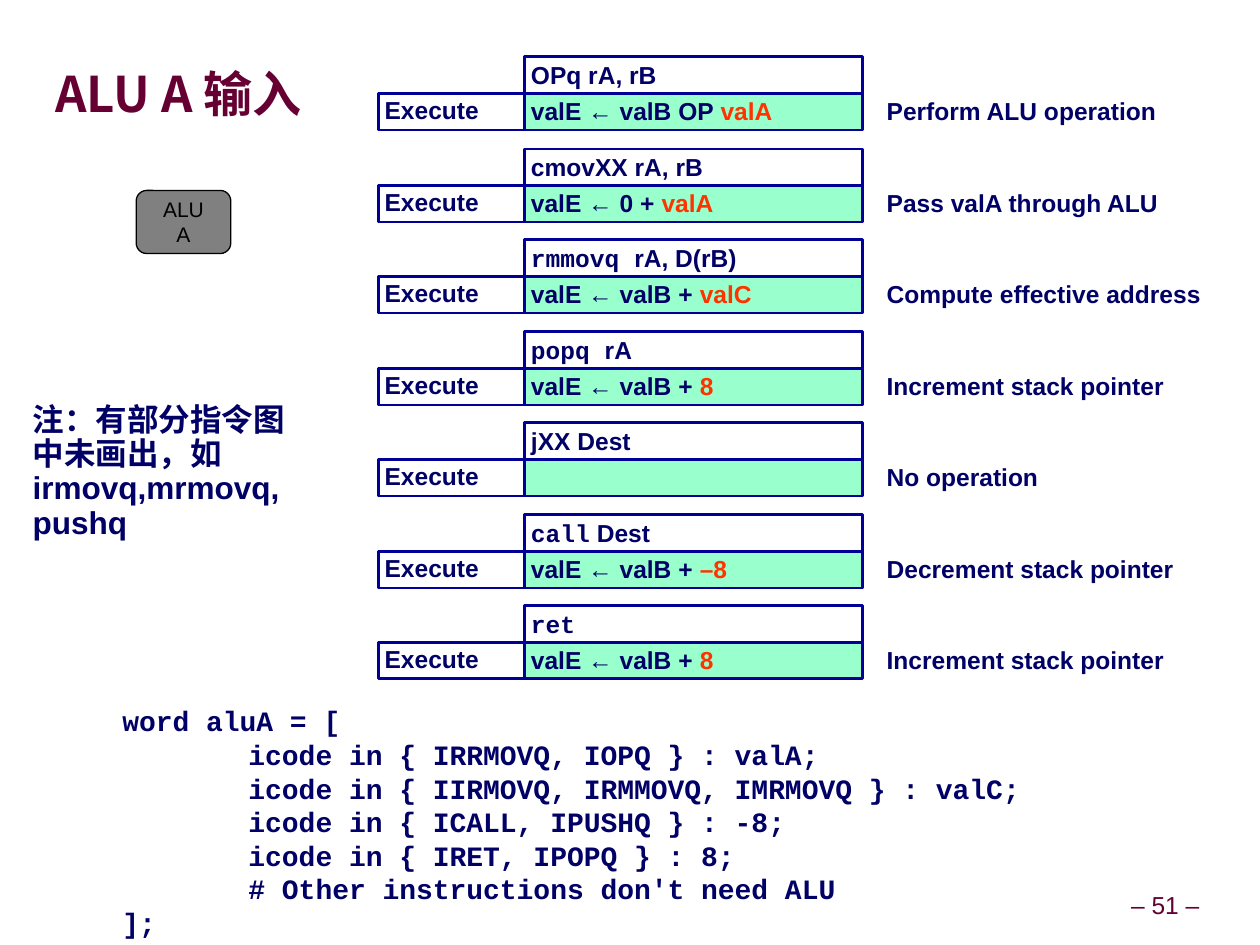
from dataclasses import dataclass

from pptx import Presentation
from pptx.dml.color import RGBColor
from pptx.enum.shapes import MSO_SHAPE
from pptx.enum.text import MSO_ANCHOR, PP_ALIGN
from pptx.oxml.ns import qn
from pptx.util import Emu, Pt

PX = 9144


@dataclass(frozen=True)
class Theme:
    ink: str = "000066"
    edge: str = "000099"
    wine: str = "660033"
    mint: str = "99FFCC"
    red: str = "FF3300"
    gray: str = "808080"
    black: str = "000000"
    sans: str = "Arial"
    mono: str = "Courier New"
    han: str = "Noto Sans CJK SC"
    title: int = 28
    note: int = 18
    code: int = 16
    body: int = 14
    small: int = 12


class Deck:
    """Draws styled elements on one slide."""

    def __init__(self, theme, wide, high):
        self.theme = theme
        self.file = Presentation()
        self.file.slide_width = Emu(wide * PX)
        self.file.slide_height = Emu(high * PX)
        self.slide = self.file.slides.add_slide(self.file.slide_layouts[6])

    def text(self, box, lines, size=None, color=None, font=None, bold=True,
             align=PP_ALIGN.LEFT, anchor=MSO_ANCHOR.TOP, pad=(5, 5),
             lead=0.9, wrap=True, tab=None):
        look = self.theme
        shape = self.slide.shapes.add_textbox(*[Emu(n * PX) for n in box])
        self.label(shape, lines, size or look.body, color or look.ink,
                   font or look.sans, bold, align, anchor, pad, lead, wrap, tab)

    def rect(self, box, lines=(), fill=None, anchor=MSO_ANCHOR.TOP):
        look = self.theme
        shape = self.shape(MSO_SHAPE.RECTANGLE, box, fill, look.edge, 1.5)
        self.label(shape, lines, look.body, look.ink, look.sans, True,
                   PP_ALIGN.LEFT, anchor, (5, 5), 0.9, True)

    def button(self, box, lines):
        look = self.theme
        shape = self.shape(MSO_SHAPE.ROUNDED_RECTANGLE, box, look.gray,
                           look.black, 0.75)
        self.label(shape, lines, look.small, look.black, look.sans, False,
                   PP_ALIGN.CENTER, MSO_ANCHOR.MIDDLE, (10, 5), Pt(14.4), False)

    def shape(self, kind, box, fill, edge, width):
        shape = self.slide.shapes.add_shape(kind, *[Emu(n * PX) for n in box])
        shape.shadow.inherit = False
        if fill:
            shape.fill.solid()
            shape.fill.fore_color.rgb = RGBColor.from_string(fill)
        else:
            shape.fill.background()
        shape.line.color.rgb = RGBColor.from_string(edge)
        shape.line.width = Pt(width)
        return shape

    def label(self, shape, lines, size, color, font, bold, align, anchor,
              pad, lead, wrap, tab=None):
        frame = shape.text_frame
        frame.word_wrap = wrap
        frame.vertical_anchor = anchor
        frame.margin_left = frame.margin_right = Emu(pad[0] * PX)
        frame.margin_top = frame.margin_bottom = Emu(pad[1] * PX)
        for i, runs in enumerate(lines):
            para = frame.add_paragraph() if i else frame.paragraphs[0]
            para.alignment = align
            para.line_spacing = lead
            if tab:
                props = para._p.get_or_add_pPr()
                stops = props.makeelement(qn("a:tabLst"), {})
                stops.append(props.makeelement(
                    qn("a:tab"), {"pos": str(tab * PX), "algn": "l"}))
                props.append(stops)
            for words, *style in runs:
                own = dict(style)
                run = para.add_run()
                run.text = words
                run.font.size = Pt(size)
                run.font.bold = bold
                run.font.name = own.get("font", font)
                run.font.color.rgb = RGBColor.from_string(own.get("color", color))
                if any(c >= "一" for c in words):
                    props = run._r.get_or_add_rPr()
                    east = props.makeelement(
                        qn("a:ea"), {"typeface": self.theme.han})
                    props.find(qn("a:latin")).addnext(east)

    def step(self, top, name, stage, note):
        """Draws one instruction with its execute stage."""
        high = 29
        low = top + high
        self.rect((416, top, 268, high), [name])
        self.rect((300, low, 116, high), [[("Execute",)]],
                  anchor=MSO_ANCHOR.MIDDLE)
        self.rect((416, low, 268, high), [stage] if stage else [],
                  self.theme.mint)
        self.text((698, low, 268, high), [[(note,)]])


def main():
    look = Theme()
    deck = Deck(look, 999, 749)
    mono, red = ("font", look.mono), ("color", look.red)
    deck.text((891, 703, 66, 31), [[("– 51 –",)]], color=look.wine,
              bold=False, align=PP_ALIGN.CENTER, anchor=MSO_ANCHOR.MIDDLE,
              wrap=False)
    deck.text((44, 31, 241, 85), [[("ALU A 输入",)]], look.title, look.wine,
              look.han, anchor=MSO_ANCHOR.MIDDLE, pad=(0, 0), lead=1.0)
    code = [
        "word aluA = [",
        "\ticode in { IRRMOVQ, IOPQ } : valA;",
        "\ticode in { IIRMOVQ, IRMMOVQ, IMRMOVQ } : valC;",
        "\ticode in { ICALL, IPUSHQ } : -8;",
        "\ticode in { IRET, IPOPQ } : 8;",
        "\t# Other instructions don't need ALU",
        "];",
    ]
    deck.text((92, 553, 875, 197), [[(line,)] for line in code], look.code,
              font=look.mono, lead=Pt(19.2), tab=100)

    steps = [
        ([("OPq rA, rB",)], "valB OP ", "valA", "Perform ALU operation"),
        ([("cmovXX rA, rB",)], "0 + ", "valA", "Pass valA through ALU"),
        ([("rmmovq ", mono), ("rA, D(rB)",)], "valB + ", "valC",
         "Compute effective address"),
        ([("popq ", mono), ("rA",)], "valB + ", "8", "Increment stack pointer"),
        ([("jXX Dest",)], "", "", "No operation"),
        ([("call", mono), (" Dest",)], "valB + ", "–8",
         "Decrement stack pointer"),
        ([("ret", mono)], "valB + ", "8", "Increment stack pointer"),
    ]
    for i, (name, left, right, note) in enumerate(steps):
        stage = [("valE ← " + left,), (right, red)] if left else None
        deck.step((91 + 145 * i) // 2, name, stage, note)

    deck.button((108, 151, 75, 50), [[("ALU",)], [("A",)]])
    deck.text((16, 315, 225, 119),
              [[("注：有部分指令图中未画出，如irmovq,mrmovq,pushq",)]],
              look.note, pad=(10, 5), lead=Pt(19.5))
    deck.file.save("out.pptx")


if __name__ == "__main__":
    main()
